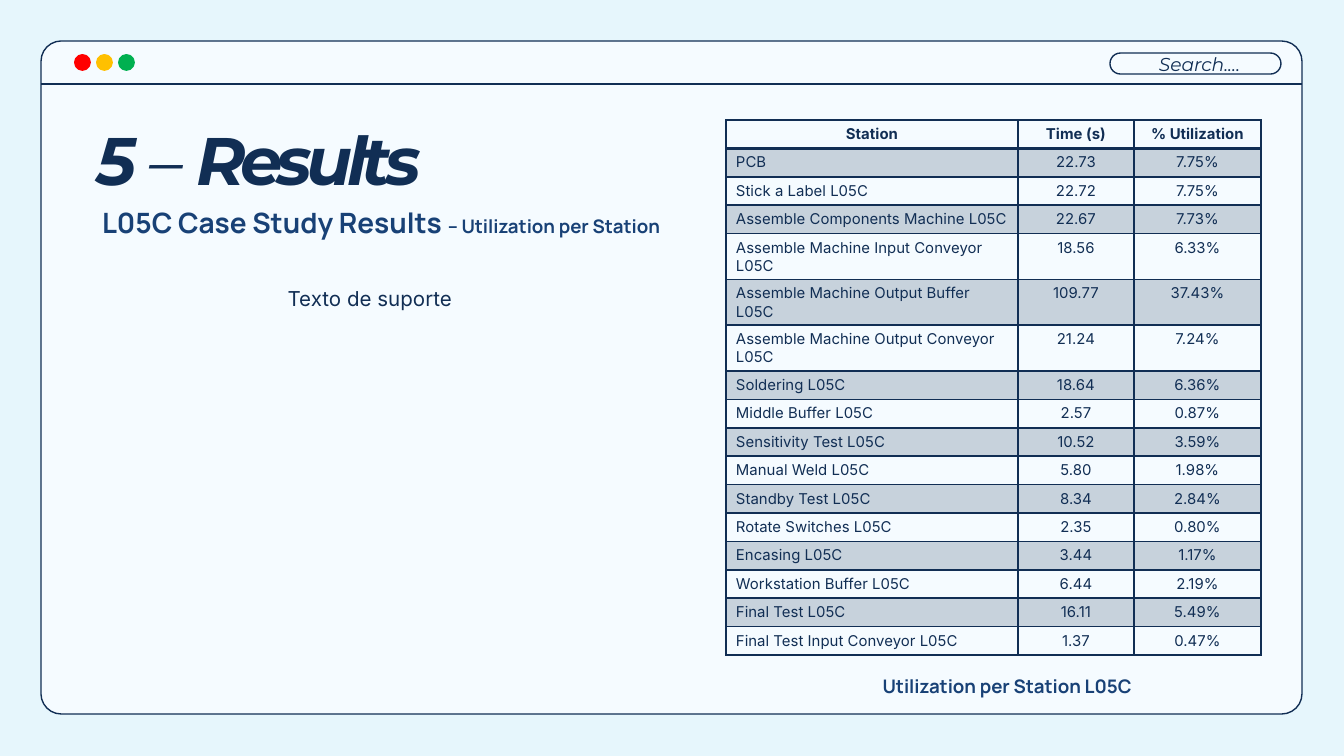
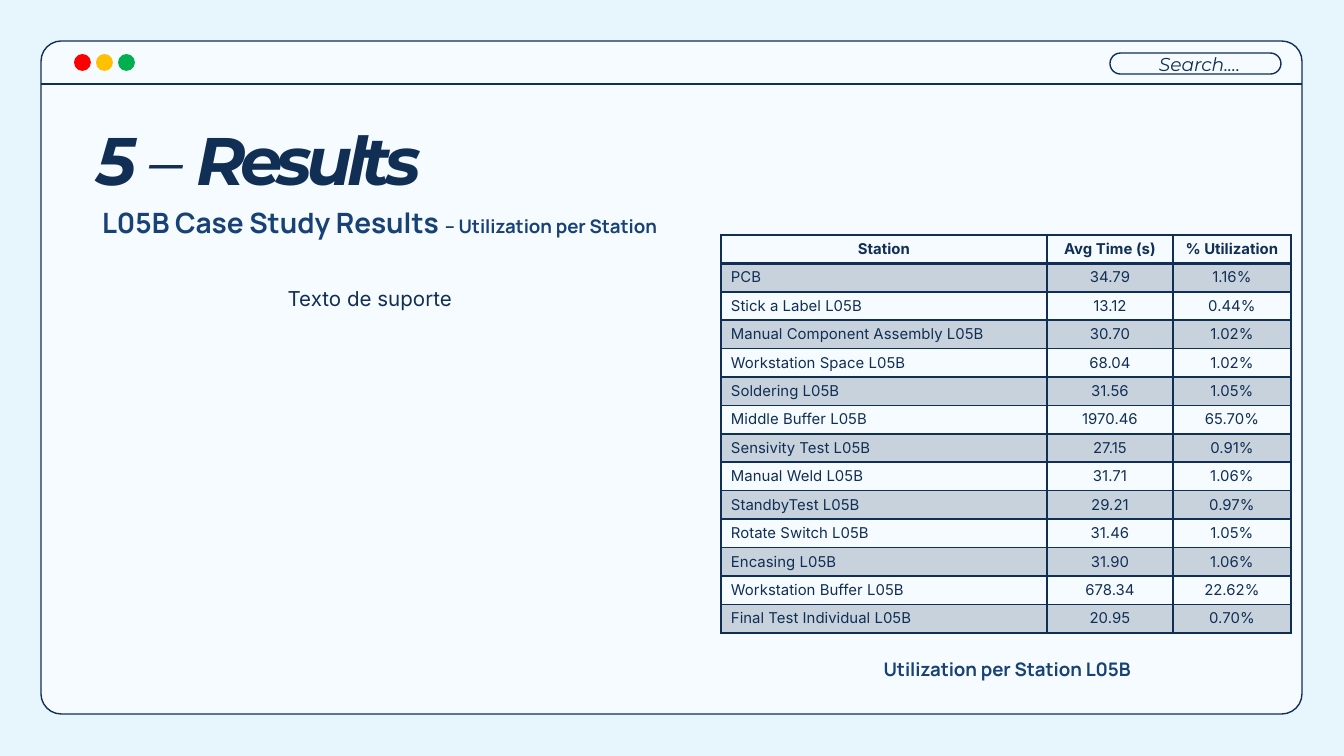
import pptx
import pptx.util
import pptx.dml.color
import pptx.enum.shapes
import pptx.enum.text
import pptx.oxml
import pptx.oxml.ns
import pptx.oxml.xmlchemy


class Theme:
    back = "E6F6FC"
    panel = "F5FBFF"
    navy = "112E54"
    blue = "184176"
    dots = ["FF0000", "FFC000", "00B050"]
    thin, edge, bold = 0.75, 1, 2
    # Text styles: size, font, colour, bold, italic
    head = (36, "Montserrat", navy, True, True)
    dash = (36, "Montserrat", navy, False, True)
    sub = (15, "Manrope", blue, True, False)
    note = (10, "Manrope", blue, True, False)
    find = (10, "Montserrat", navy, False, True)
    body = (11, "Inter", navy, False, False)
    cell = (8, "Inter", navy, False, False)
    top = (8, "Inter", navy, True, False)


px = 9144000 / 1344
rgb = pptx.dml.color.RGBColor.from_string
form = pptx.enum.shapes.MSO_SHAPE
left, mid = pptx.enum.text.PP_ALIGN.LEFT, pptx.enum.text.PP_ALIGN.CENTER
low, high = pptx.enum.text.MSO_ANCHOR.BOTTOM, pptx.enum.text.MSO_ANCHOR.TOP


def place(*sizes):
    return [round(size * px) for size in sizes]


def write(frame, runs, align=left, anchor=high, space=1.0):
    frame.word_wrap = True
    frame.vertical_anchor = anchor
    frame.margin_left = frame.margin_right = round(13 * px)
    frame.margin_top = frame.margin_bottom = round(13 * px)
    para = frame.paragraphs[0]
    para.alignment, para.line_spacing = align, space
    for text, (size, face, tint, bold, slant) in runs:
        run = para.add_run()
        run.text = text
        font = run.font
        font.size, font.name = pptx.util.Pt(size), face
        font.bold, font.italic = bold, slant
        font.color.rgb = rgb(tint)


# Case data: name, table spot, columns, caption top, rows
cases = [
    ("L05C", (726, 120), (292, 116, 127), 659, [
        ("Station", "Time (s)", "% Utilization"),
        ("PCB", "22.73", "7.75%"),
        ("Stick a Label L05C", "22.72", "7.75%"),
        ("Assemble Components Machine L05C", "22.67", "7.73%"),
        ("Assemble Machine Input Conveyor L05C", "18.56", "6.33%"),
        ("Assemble Machine Output Buffer L05C", "109.77", "37.43%"),
        ("Assemble Machine Output Conveyor L05C", "21.24", "7.24%"),
        ("Soldering L05C", "18.64", "6.36%"),
        ("Middle Buffer L05C", "2.57", "0.87%"),
        ("Sensitivity Test L05C", "10.52", "3.59%"),
        ("Manual Weld L05C", "5.80", "1.98%"),
        ("Standby Test L05C", "8.34", "2.84%"),
        ("Rotate Switches L05C", "2.35", "0.80%"),
        ("Encasing L05C", "3.44", "1.17%"),
        ("Workstation Buffer L05C", "6.44", "2.19%"),
        ("Final Test L05C", "16.11", "5.49%"),
        ("Final Test Input Conveyor L05C", "1.37", "0.47%"),
    ]),
    ("L05B", (721, 235), (326, 126, 118), 642, [
        ("Station", "Avg Time (s)", "% Utilization"),
        ("PCB", "34.79", "1.16%"),
        ("Stick a Label L05B", "13.12", "0.44%"),
        ("Manual Component Assembly L05B", "30.70", "1.02%"),
        ("Workstation Space L05B", "68.04", "1.02%"),
        ("Soldering L05B", "31.56", "1.05%"),
        ("Middle Buffer L05B", "1970.46", "65.70%"),
        ("Sensivity Test L05B", "27.15", "0.91%"),
        ("Manual Weld L05B", "31.71", "1.06%"),
        ("StandbyTest L05B", "29.21", "0.97%"),
        ("Rotate Switch L05B", "31.46", "1.05%"),
        ("Encasing L05B", "31.90", "1.06%"),
        ("Workstation Buffer L05B", "678.34", "22.62%"),
        ("Final Test Individual L05B", "20.95", "0.70%"),
    ]),
]

deck = pptx.Presentation()
deck.slide_width, deck.slide_height = place(1344, 756)
for name, spot, widths, foot, rows in cases:
    slide = deck.slides.add_slide(deck.slide_layouts[5])
    shapes = slide.shapes
    slide.background.fill.solid()
    slide.background.fill.fore_color.rgb = rgb(Theme.back)

    # Window panel, search field and dots
    parts = [
        (form.ROUNDED_RECTANGLE, (41, 41, 1261, 673), 0.03, Theme.panel, Theme.navy, Theme.thin),
        (form.ROUNDED_RECTANGLE, (1110, 53, 171, 21), 0.5, None, Theme.navy, Theme.thin),
    ]
    for i, tint in enumerate(Theme.dots):
        parts.append((form.OVAL, (76 + 22 * i, 56, 13, 13), None, tint, tint, Theme.bold))
    for kind, box, curve, tint, line, width in parts:
        shape = shapes.add_shape(kind, *place(*box))
        shape.shadow.inherit = False
        if curve:
            shape.adjustments[0] = curve
        if tint:
            shape.fill.solid()
            shape.fill.fore_color.rgb = rgb(tint)
        else:
            shape.fill.background()
        shape.line.color.rgb = rgb(line)
        shape.line.width = pptx.util.Pt(width)

    # Rule below the window bar
    rule = shapes.add_connector(pptx.enum.shapes.MSO_CONNECTOR.STRAIGHT, *place(41, 84, 1302, 84))
    rule.line.color.rgb = rgb(Theme.navy)
    rule.line.width = pptx.util.Pt(Theme.thin)
    rule.element.spPr.append(pptx.oxml.xmlchemy.OxmlElement("a:effectLst"))

    # Title, brought in front of the panel
    title = shapes.title
    shapes.element.append(title.element)
    title.left, title.top, title.width, title.height = place(83, 164, 1155, 48)
    title.text_frame.auto_size = pptx.enum.text.MSO_AUTO_SIZE.NONE
    write(title.text_frame, [("5 ", Theme.head), ("–", Theme.dash), (" Results", Theme.head)], anchor=low)
    for run in title.text_frame.paragraphs[0].runs:
        run.font._element.set("spc", "-300")

    # Text boxes
    texts = [
        ((89, 187, 793, 70), [(f"{name} Case Study Results ", Theme.sub),
                              ("– Utilization per Station", Theme.note)], left, high, 1.15),
        ((1121, 62, 157, 25), [("Search.…", Theme.find)], mid, low, 1.0),
        ((184, 274, 372, 403), [("Texto de suporte", Theme.body)], mid, high, 1.0),
        ((804, foot, 406, 70), [(f"Utilization per Station {name}", Theme.note)], mid, high, 1.15),
    ]
    for box, runs, align, anchor, space in texts:
        write(shapes.add_textbox(*place(*box)).text_frame, runs, align, anchor, space)

    # Station table: 14 single rows fill 398 px
    tall = round(398 * px / 14)
    frame = shapes.add_table(len(rows), 3, *place(*spot, sum(widths)), tall * len(rows))
    table = frame.table
    table.first_row = table.horz_banding = False
    table._tbl.tblPr[0].text = "{2D5ABB26-0587-4C30-8999-92F81FD0307C}"
    for col, width in zip(table.columns, widths):
        col.width = round(width * px)
    for r, row in enumerate(rows):
        table.rows[r].height = tall
        for c, text in enumerate(row):
            cell = table.cell(r, c)
            style = Theme.cell if r else Theme.top
            align = left if r and c == 0 else mid
            write(cell.text_frame, [(text, style)], align)
            cell.margin_left = cell.margin_right = round(10 * px)
            cell.margin_top = cell.margin_bottom = round(5 * px)
            cell.vertical_anchor = high

            # Borders, heavier under the header
            props = cell._tc.get_or_add_tcPr()
            for side in ("L", "R", "T", "B"):
                heavy = (r, side) in ((0, "B"), (1, "T"))
                width = pptx.util.Pt(Theme.bold if heavy else Theme.edge)
                props.append(pptx.oxml.parse_xml(
                    f'<a:ln{side} {pptx.oxml.ns.nsdecls("a")} w="{width}"><a:solidFill>'
                    f'<a:srgbClr val="{Theme.navy}"/></a:solidFill></a:ln{side}>'))

            # Odd rows carry a pale tint
            if r % 2:
                cell.fill.solid()
                cell.fill.fore_color.rgb = rgb(Theme.navy)
                alpha = pptx.oxml.xmlchemy.OxmlElement("a:alpha")
                alpha.set("val", "20000")
                props.xpath("./a:solidFill/a:srgbClr")[0].append(alpha)
            else:
                cell.fill.background()

deck.save("out.pptx")
